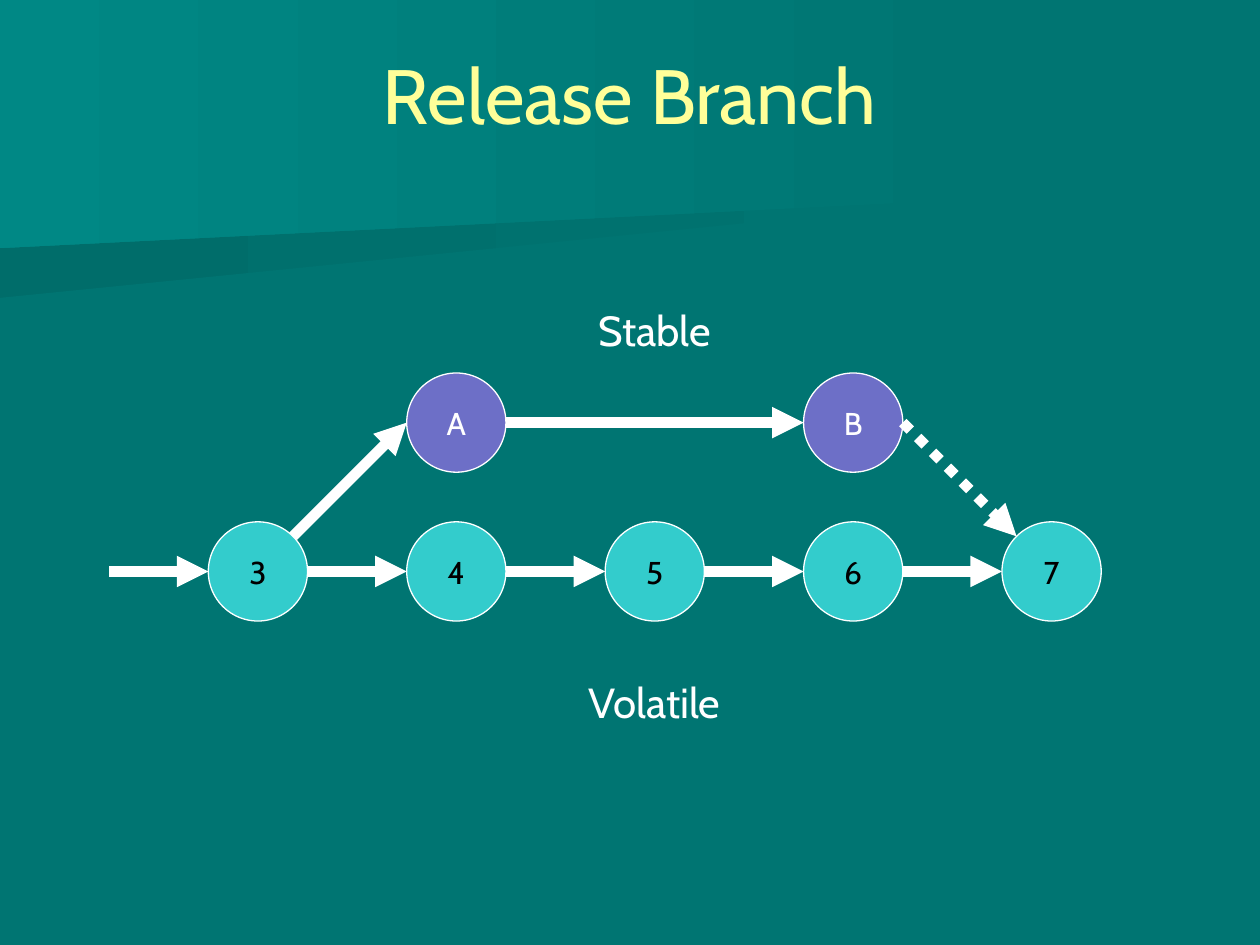
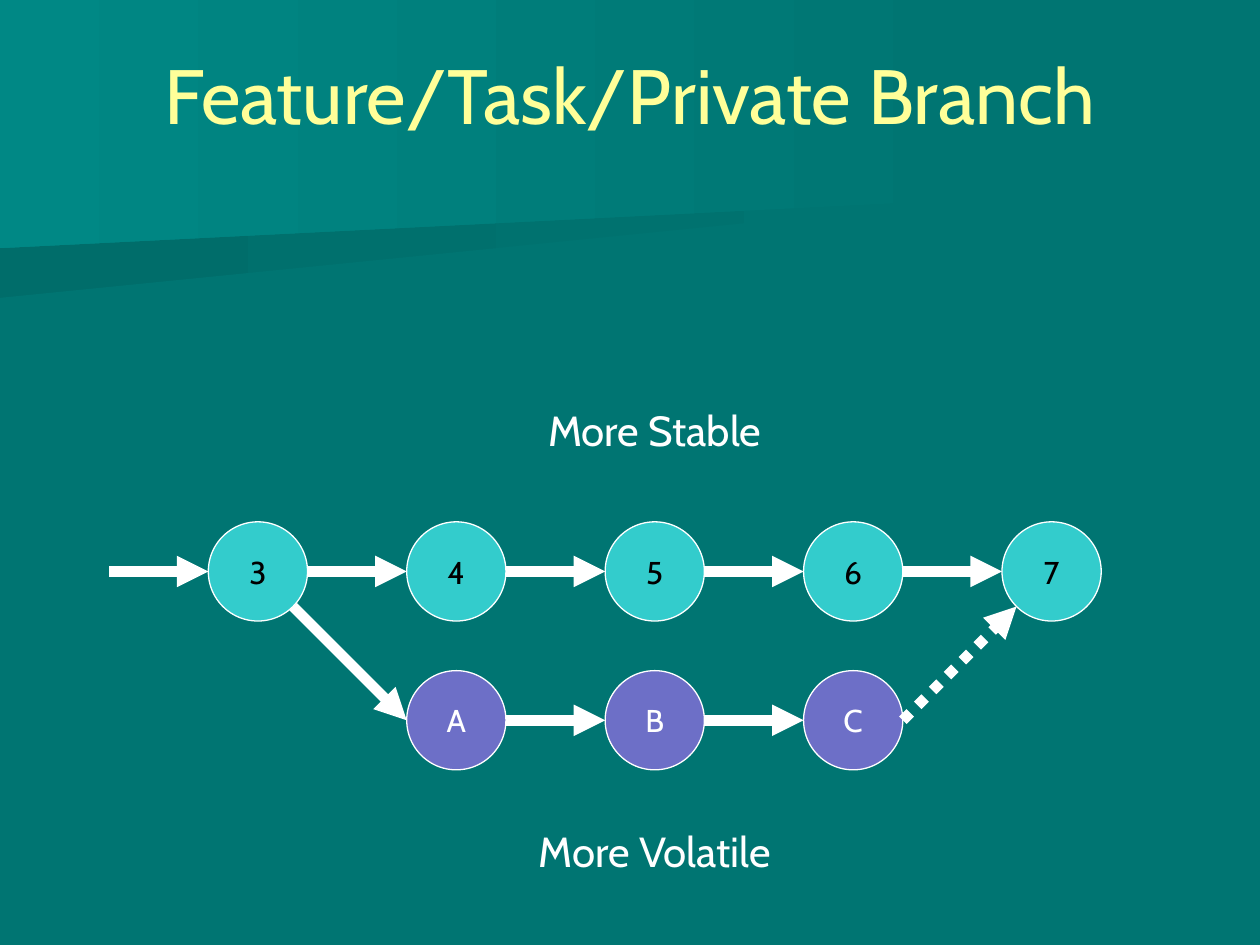
import dataclasses
import math

import lxml.etree
import pptx
import pptx.dml.color
import pptx.enum.dml
import pptx.enum.shapes
import pptx.enum.text
import pptx.oxml.ns
import pptx.util

Cm = pptx.util.Cm
Pt = pptx.util.Pt
qn = pptx.oxml.ns.qn


@dataclasses.dataclass(frozen=True)
class Theme:
    """Colours, font, type sizes and line widths of the deck."""
    background: str = "007572"
    band_shade: str = "006D6A"
    band_light: str = "008885"
    title: str = "FFFF99"
    light: str = "FFFFFF"
    dark: str = "000000"
    mainline: str = "33CCCC"
    branch: str = "6D6FC7"
    font: str = "Cabin"
    title_size: int = 44
    label_size: int = 24
    revision_size: int = 18
    outline_width: float = 0.75
    arrow_width: int = 6


@dataclasses.dataclass(frozen=True)
class Box:
    """A region of the slide in centimetres."""
    left: float
    top: float
    width: float
    height: float

    def lengths(self):
        """Return the four measures as lengths."""
        return [Cm(value) for value in dataclasses.astuple(self)]


@dataclasses.dataclass(frozen=True)
class BranchPlan:
    """What one branching slide shows, with row tops relative to its diagram."""
    title: str
    upper_label: str
    lower_label: str
    label_width: float
    branch_revisions: dict
    mainline_row: float
    branch_row: float
    diagram: Box


THEME = Theme()
PAGE = Box(0, 0, 25.4, 19.05)
TITLE = Box(1.27, 0.76, 22.86, 2.26)
BANDS = (
    (THEME.band_shade, [(19.76, 3.89), (0, 5.51), (0, 2.57), (19.79, 2.57)]),
    (THEME.band_light, [(20.12, 4.11), (0, 5.28), (0, 0), (20.12, 0)]),
)
MAINLINE_REVISIONS = dict(enumerate("34567"))
DIAMETER = 2
LABEL_HEIGHT = 1.27
PLANS = (
    BranchPlan("Release Branch", "Stable", "Volatile", 4, {1: "A", 3: "B"},
               4.5, 1.5, Box(2.2, 6.02, 20, 8.77)),
    BranchPlan("Feature/Task/Private Branch", "More Stable", "More Volatile", 6,
               {1: "A", 2: "B", 3: "C"}, 2.5, 5.5, Box(2.2, 8.02, 20, 9.77)),
)


def rgb(code):
    """Turn a hex code into a colour."""
    return pptx.dml.color.RGBColor.from_string(code)


def write(frame, text, size, color):
    """Put one centred paragraph into a text frame."""
    frame.text = text
    paragraph = frame.paragraphs[0]
    paragraph.alignment = pptx.enum.text.PP_ALIGN.CENTER
    paragraph.font.name = THEME.font
    paragraph.font.size = Pt(size)
    paragraph.font.color.rgb = rgb(color)


def add_band(slide, far_color, outline):
    """Draw a backdrop band that fades into the background, behind the title."""
    builder = slide.shapes.build_freeform(*outline[0], scale=Cm(1))
    builder.add_line_segments(outline[1:])
    band = builder.convert_to_shape()
    band.shadow.inherit = False
    band.line.fill.background()
    band.fill.gradient()
    band.fill.gradient_angle = 180
    for stop, color in zip(band.fill.gradient_stops, (THEME.background, far_color)):
        stop.color.rgb = rgb(color)
    for stop, position in zip(band.fill.gradient_stops, (0, 1)):
        stop.position = position
    slide.shapes.title.element.addprevious(band.element)


def add_title(slide, text, box):
    """Place and format the title placeholder."""
    title = slide.shapes.title
    title.left, title.top, title.width, title.height = box.lengths()
    frame = title.text_frame
    frame.auto_size = pptx.enum.text.MSO_AUTO_SIZE.NONE
    frame.vertical_anchor = pptx.enum.text.MSO_ANCHOR.MIDDLE
    write(frame, text, THEME.title_size, THEME.title)


def add_revision(slide, name, box, fill, color):
    """Draw one revision as a circle."""
    revision = slide.shapes.add_shape(pptx.enum.shapes.MSO_SHAPE.OVAL, *box.lengths())
    revision.shadow.inherit = False
    revision.fill.solid()
    revision.fill.fore_color.rgb = rgb(fill)
    revision.line.color.rgb = rgb(THEME.light)
    revision.line.width = Pt(THEME.outline_width)
    frame = revision.text_frame
    frame.word_wrap = False
    frame.vertical_anchor = pptx.enum.text.MSO_ANCHOR.MIDDLE
    write(frame, name, THEME.revision_size, color)


def add_arrow(slide, start, end, dotted=False):
    """Draw a thick arrow between two points."""
    arrow = slide.shapes.add_connector(
        pptx.enum.shapes.MSO_CONNECTOR.STRAIGHT, *(Cm(value) for value in (*start, *end)))
    arrow.line.color.rgb = rgb(THEME.light)
    arrow.line.width = Pt(THEME.arrow_width)
    if dotted:
        arrow.line.dash_style = pptx.enum.dml.MSO_LINE.ROUND_DOT
    properties = arrow.element.spPr
    lxml.etree.SubElement(properties.find(qn("a:ln")), qn("a:tailEnd"), type="triangle")
    lxml.etree.SubElement(properties, qn("a:effectLst"))


def add_label(slide, text, box):
    """Write a stability label."""
    frame = slide.shapes.add_textbox(*box.lengths()).text_frame
    frame.word_wrap = True
    frame.auto_size = pptx.enum.text.MSO_AUTO_SIZE.SHAPE_TO_FIT_TEXT
    write(frame, text, THEME.label_size, THEME.light)


def add_row(slide, revisions, box, pitch, fill, color):
    """Draw revisions by column and the arrows between neighbours."""
    middle = box.top + DIAMETER / 2
    lefts = [box.left + column * pitch for column in revisions]
    for left, name in zip(lefts, revisions.values()):
        add_revision(slide, name, Box(left, box.top, DIAMETER, DIAMETER), fill, color)
    for left, next_left in zip(lefts, lefts[1:]):
        add_arrow(slide, (left + DIAMETER, middle), (next_left, middle))
    return lefts[0], lefts[-1] + DIAMETER, middle


def add_diagram(slide, plan, box):
    """Draw the mainline, its branch and both labels inside the box."""
    pitch = box.width / len(MAINLINE_REVISIONS)
    row_left = box.left + pitch / 2
    rows_width = box.width - pitch / 2
    main_start, main_end, main_y = add_row(
        slide, MAINLINE_REVISIONS,
        Box(row_left, box.top + plan.mainline_row, rows_width, DIAMETER),
        pitch, THEME.mainline, THEME.dark)
    add_arrow(slide, (box.left, main_y), (main_start, main_y))
    branch_start, branch_end, branch_y = add_row(
        slide, plan.branch_revisions,
        Box(row_left, box.top + plan.branch_row, rows_width, DIAMETER),
        pitch, THEME.branch, THEME.light)

    radius = DIAMETER / 2
    diagonal = radius * math.sqrt(0.5)
    fork_y = main_y + math.copysign(diagonal, branch_y - main_y)
    add_arrow(slide, (main_start + radius + diagonal, fork_y), (branch_start, branch_y))
    add_arrow(slide, (branch_end, branch_y), (main_end - radius - diagonal, fork_y), dotted=True)

    label_left = (main_start + main_end - plan.label_width) / 2
    for text, top in ((plan.upper_label, box.top),
                      (plan.lower_label, box.top + box.height - LABEL_HEIGHT)):
        add_label(slide, text, Box(label_left, top, plan.label_width, LABEL_HEIGHT))


def add_branch_slide(deck, plan):
    """Add one branching slide."""
    slide = deck.slides.add_slide(deck.slide_layouts.get_by_name("Title Only"))
    for far_color, outline in BANDS:
        add_band(slide, far_color, outline)
    add_title(slide, plan.title, TITLE)
    add_diagram(slide, plan, plan.diagram)


def main():
    """Build and save the deck."""
    deck = pptx.Presentation()
    deck.slide_width, deck.slide_height = Cm(PAGE.width), Cm(PAGE.height)
    backdrop = deck.slide_master.background.fill
    backdrop.solid()
    backdrop.fore_color.rgb = rgb(THEME.background)
    for plan in PLANS:
        add_branch_slide(deck, plan)
    deck.save("out.pptx")


if __name__ == "__main__":
    main()
